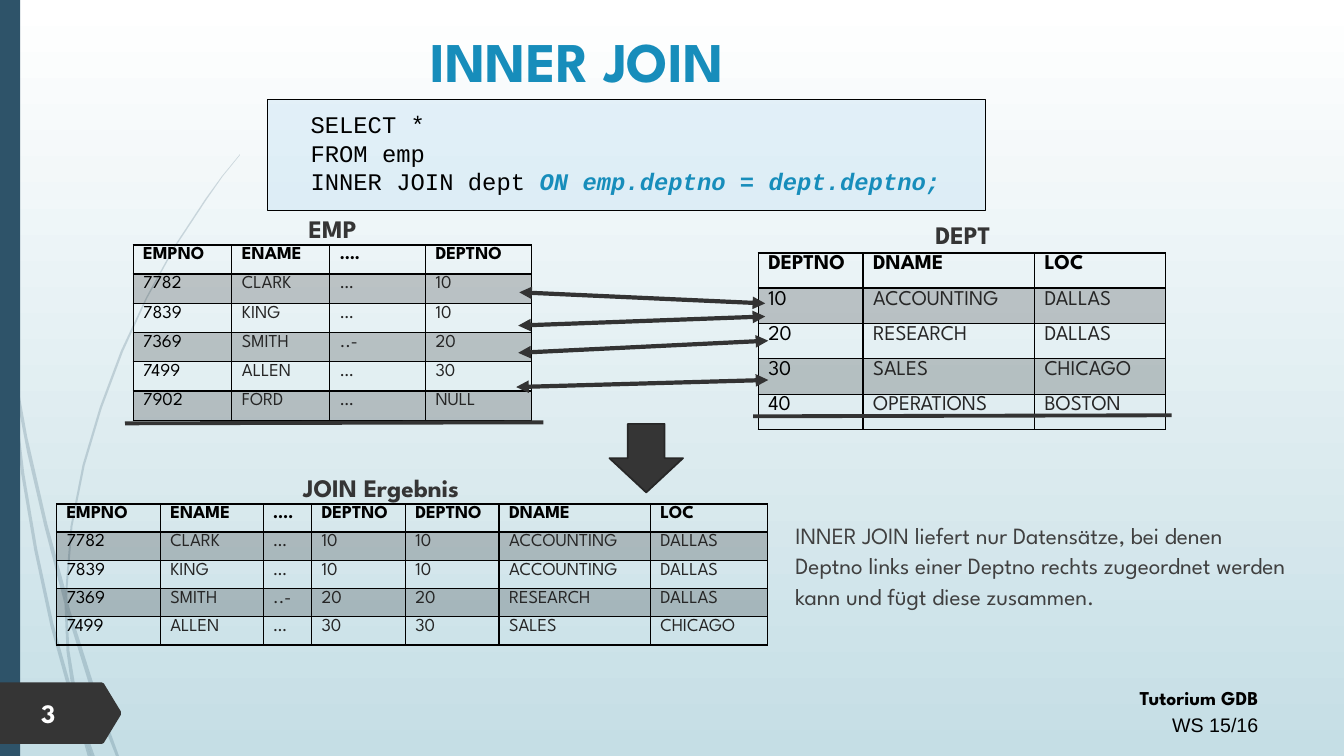
from pptx import Presentation
from pptx.dml.color import RGBColor
from pptx.enum.shapes import MSO_CONNECTOR, MSO_SHAPE
from pptx.enum.text import MSO_ANCHOR, PP_ALIGN
from pptx.oxml import parse_xml
from pptx.oxml.ns import nsdecls, qn
from pptx.util import Inches, Pt
from lxml import etree

RECT, LEFT_ARROW = MSO_SHAPE.RECTANGLE, MSO_SHAPE.LEFT_ARROW
STRAIGHT = MSO_CONNECTOR.STRAIGHT
TOP, MIDDLE = MSO_ANCHOR.TOP, MSO_ANCHOR.MIDDLE
LEFT, CENTER, RIGHT = PP_ALIGN.LEFT, PP_ALIGN.CENTER, PP_ALIGN.RIGHT

BLACK = RGBColor(0, 0, 0)
WHITE = RGBColor(255, 255, 255)
MIST = RGBColor(0xC5, 0xDE, 0xE5)
NAVY = RGBColor(0x2E, 0x53, 0x69)
BLUE = RGBColor(0x17, 0x8D, 0xBB)
PALE_BLUE = RGBColor(0xA8, 0xD5, 0xF0)
CHARCOAL = RGBColor(0x35, 0x35, 0x35)
ARROW_EDGE = RGBColor(0x27, 0x27, 0x27)
LINE_GREY = RGBColor(0x33, 0x33, 0x33)
BODY_GREY = RGBColor(0x40, 0x40, 0x40)
CELL_GREY = RGBColor(0x26, 0x26, 0x26)

SPARTAN, MONO, ARIAL = "League Spartan", "Courier New", "Arial"

# Decorative stems on the left, as outline points
STEMS = [
    [(0.08, 3.5), (0.06, 3.22), (0, 2.82), (0, 2.99), (0.08, 3.44)],
    [(0.44, 5.22), (0.64, 5.99), (0.65, 5.86), (0.47, 5.2), (0.27, 4.33),
     (0.11, 3.45), (0.13, 3.76), (0.27, 4.49)],
    [(0.7, 6.07), (0.67, 5.96), (0.67, 6.1), (0.93, 6.94), (1.15, 7.5),
     (1.18, 7.5), (0.97, 6.92)],
    [(0.91, 7.5), (0.94, 7.5), (0.8, 7.11)],
    [(0.71, 6.83), (0.53, 6.19), (0.37, 5.45), (0.24, 4.69), (0.13, 3.76),
     (0.08, 3.5), (0.21, 4.7), (0.34, 5.46), (0.5, 6.21), (0.7, 6.93),
     (0.77, 7.14), (0.75, 7.07)],
    [(0.64, 5.99), (0.66, 6.46), (0.71, 6.83), (0.73, 6.92), (0.8, 7.11),
     (0.79, 7.06), (0.69, 6.46), (0.67, 6.1), (0.67, 6.08)],
    [(0.67, 5.84), (0.72, 5.22), (0.84, 4.62), (1.01, 4.05), (1.22, 3.49),
     (1.46, 2.96), (1.74, 2.45), (2.05, 1.98), (2.21, 1.75), (2.38, 1.54),
     (2.38, 1.53), (2.2, 1.75), (2.04, 1.97), (1.73, 2.44), (1.45, 2.95),
     (1.2, 3.48), (0.99, 4.04), (0.82, 4.61), (0.7, 5.22), (0.65, 5.84),
     (0.65, 5.86), (0.67, 5.96)],
    [(0.77, 7.14), (0.87, 7.5), (0.9, 7.5)],
    [(0.67, 6.08), (0.67, 5.96), (0.65, 5.86), (0.64, 5.99)],
    [(0.74, 6.92), (0.71, 6.83), (0.75, 7.07), (0.77, 7.14), (0.9, 7.5),
     (0.91, 7.5), (0.8, 7.11)],
]
PAGE_TAG = [(0, 6.77), (1.01, 6.77), (1.03, 6.78), (1.2, 7.06), (1.2, 7.09),
            (1.03, 7.37), (1.01, 7.38), (0, 7.38)]

EMP = [["EMPNO", "ENAME", "….", "DEPTNO"],
       ["7782", "CLARK", "…", "10"],
       ["7839", "KING", "…", "10"],
       ["7369", "SMITH", "..-", "20"],
       ["7499", "ALLEN", "…", "30"],
       ["7902", "FORD", "…", "NULL"]]
DEPT = [["DEPTNO", "DNAME", "LOC"],
        ["10", "ACCOUNTING", "DALLAS"],
        ["20", "RESEARCH", "DALLAS"],
        ["30", "SALES", "CHICAGO"],
        ["40", "OPERATIONS", "BOSTON"]]
# Inner join of both tables on DEPTNO, header row included
RESULT = [e + d for e in EMP for d in DEPT if e[-1] == d[0]]


def set_alpha(sp, percent):
    clr = sp._element.spPr.find(qn("a:solidFill"))[0]
    etree.SubElement(clr, qn("a:alpha")).set("val", str(percent * 1000))


def style_run(r, size, color, bold=False, font=SPARTAN, italic=False):
    r.font.size, r.font.name = Pt(size), font
    r.font.bold, r.font.italic = bold, italic
    r.font.color.rgb = color


def style_shape(sp, fill, alpha=None, line=None, width=1):
    sp.shadow.inherit = False
    sp.fill.solid()
    sp.fill.fore_color.rgb = fill
    if alpha:
        set_alpha(sp, alpha)
    if line is None:
        sp.line.fill.background()
    else:
        sp.line.color.rgb = line
        sp.line.width = Pt(width)


def add_outline(slide, points, fill, alpha=None):
    points = [(Inches(x), Inches(y)) for x, y in points]
    fb = slide.shapes.build_freeform(*points[0])
    fb.add_line_segments(points[1:], close=True)
    style_shape(fb.convert_to_shape(), fill, alpha)


def add_box(slide, kind, box, fill, **style):
    sp = slide.shapes.add_shape(kind, *map(Inches, box))
    style_shape(sp, fill, **style)
    return sp


def add_text(slide, box, text, size, color, bold=False, align=LEFT,
             anchor=TOP, spacing=1.0):
    tf = slide.shapes.add_textbox(*map(Inches, box)).text_frame
    tf.word_wrap = True
    tf.vertical_anchor = anchor
    tf.text = text
    for p in tf.paragraphs:
        p.alignment, p.line_spacing = align, spacing
        style_run(p.runs[0], size, color, bold)
    return tf


def add_line(slide, start, end, width, arrows=False):
    ln = slide.shapes.add_connector(STRAIGHT, *map(Inches, start + end))
    ln.line.color.rgb = LINE_GREY
    ln.line.width = Pt(width)
    if arrows:
        for tag in ("a:headEnd", "a:tailEnd"):
            etree.SubElement(ln.line._ln, qn(tag)).set("type", "triangle")
    etree.SubElement(ln._element.spPr, qn("a:effectLst"))


def set_borders(cell, bottom):
    tc_pr = cell._tc.get_or_add_tcPr()
    for i, side in enumerate("LRTB"):
        width = Pt(bottom if side == "B" else 1)
        tc_pr.insert(i, parse_xml(
            f'<a:ln{side} {nsdecls("a")} w="{width}"><a:solidFill>'
            f'<a:srgbClr val="{BLACK}"/></a:solidFill></a:ln{side}>'))


def add_grid(slide, left, top, rows, widths, row_height, size):
    table = slide.shapes.add_table(
        len(rows), len(widths), Inches(left), Inches(top),
        Inches(sum(widths)), Inches(row_height * len(rows))).table
    table.first_row = table.horz_banding = False
    for col, width in zip(table.columns, widths):
        col.width = Inches(width)
    for i, row in enumerate(rows):
        for j, text in enumerate(row):
            cell = table.cell(i, j)
            cell.margin_top = cell.margin_bottom = Inches(0.02)
            cell.text = text
            style_run(cell.text_frame.paragraphs[0].runs[0], size,
                      CELL_GREY if i and j else BLACK, bold=i == 0)
            if i % 2:
                cell.fill.solid()
                cell.fill.fore_color.rgb = BLACK
                clr = cell._tc.tcPr.find(qn("a:solidFill"))[0]
                etree.SubElement(clr, qn("a:alpha")).set("val", "20000")
            else:
                cell.fill.background()
            set_borders(cell, bottom=1 if i else 2)


def add_query(slide):
    sp = add_box(slide, RECT, (2.65, 0.99, 7.12, 1.1), PALE_BLUE, alpha=27,
                 line=BLACK, width=0.75)
    tf = sp.text_frame
    tf.margin_left, tf.margin_top = Inches(0.43), 0
    tf.vertical_anchor = MIDDLE
    tf.text = "SELECT *\vFROM emp\nINNER JOIN dept "
    for p in tf.paragraphs:
        p.alignment = LEFT
        for r in p.runs:
            style_run(r, 17, BLACK, font=MONO)
    r = tf.paragraphs[1].add_run()
    r.text = "ON emp.deptno = dept.deptno;"
    style_run(r, 17, BLUE, True, MONO, True)


def add_frame(slide):
    fill = slide.background.fill
    fill.gradient()
    fill.gradient_angle = 270
    for stop, color in zip(fill.gradient_stops, (WHITE, MIST)):
        stop.color.rgb = color
    for stem in STEMS:
        add_outline(slide, stem, NAVY, alpha=20)
    add_box(slide, RECT, (0, 0, 0.2, 7.5), NAVY)
    tf = add_text(slide, (7.38, 6.72, 5.2, 0.64), "Tutorium GDB\nWS 15/16",
                  14, BLACK, True, RIGHT, MIDDLE, 1.14)
    style_run(tf.paragraphs[1].runs[0], 14, BLACK, font=ARIAL)
    add_outline(slide, PAGE_TAG, CHARCOAL)
    add_text(slide, (0.31, 6.86, 0.7, 0.42), "3", 19, WHITE, True,
             anchor=MIDDLE)


def main():
    prs = Presentation()
    prs.slide_width, prs.slide_height = Inches(13.33), Inches(7.5)
    slide = prs.slides.add_slide(prs.slide_layouts[6])
    add_frame(slide)

    # Title, explanation and query
    add_text(slide, (1.24, 0.19, 8.97, 0.81), "INNER JOIN", 40, BLUE, True,
             CENTER, MIDDLE)
    add_text(slide, (7.79, 5.09, 5.06, 1.41),
             "INNER JOIN liefert nur Datensätze, bei denen Deptno links "
             "einer Deptno rechts zugeordnet werden kann und fügt diese "
             "zusammen.", 16.6, BODY_GREY, spacing=1.1)
    add_query(slide)

    # Tables with their headings
    add_grid(slide, 1.32, 2.43, EMP, [0.98, 0.97, 0.95, 1.05], 0.29, 13)
    add_grid(slide, 7.52, 2.51, DEPT, [1.04, 1.7, 1.3], 0.35, 15)
    add_grid(slide, 0.56, 5, RESULT,
             [1.03, 1.02, 0.48, 0.93, 0.93, 1.5, 1.16], 0.28, 13)
    for text, left, top in (("EMP", 1.89, 2.07), ("DEPT", 8.14, 2.13),
                            ("JOIN Ergebnis", 2.37, 4.64)):
        add_text(slide, (left, top, 2.82, 0.4), text, 18, CHARCOAL, True,
                 CENTER)

    # Matching rows, and strokes through the rows without a match
    for start, end in (((5.15, 2.9), (7.59, 3.01)), ((5.14, 3.23), (7.59, 3.14)),
                       ((5.14, 3.5), (7.62, 3.38)), ((5.12, 3.84), (7.62, 3.77))):
        add_line(slide, start, end, 3, arrows=True)
    for left, top in ((1.24, 4.2), (7.47, 4.13)):
        add_line(slide, (left, top), (left + 4.15, top - 0.01), 2.75)

    # Arrow down to the result
    sp = add_box(slide, LEFT_ARROW, (6.07, 4.18, 0.68, 0.73), CHARCOAL,
                 line=ARROW_EDGE, width=1.25)
    sp.rotation = 270
    prs.save("out.pptx")


if __name__ == "__main__":
    main()
